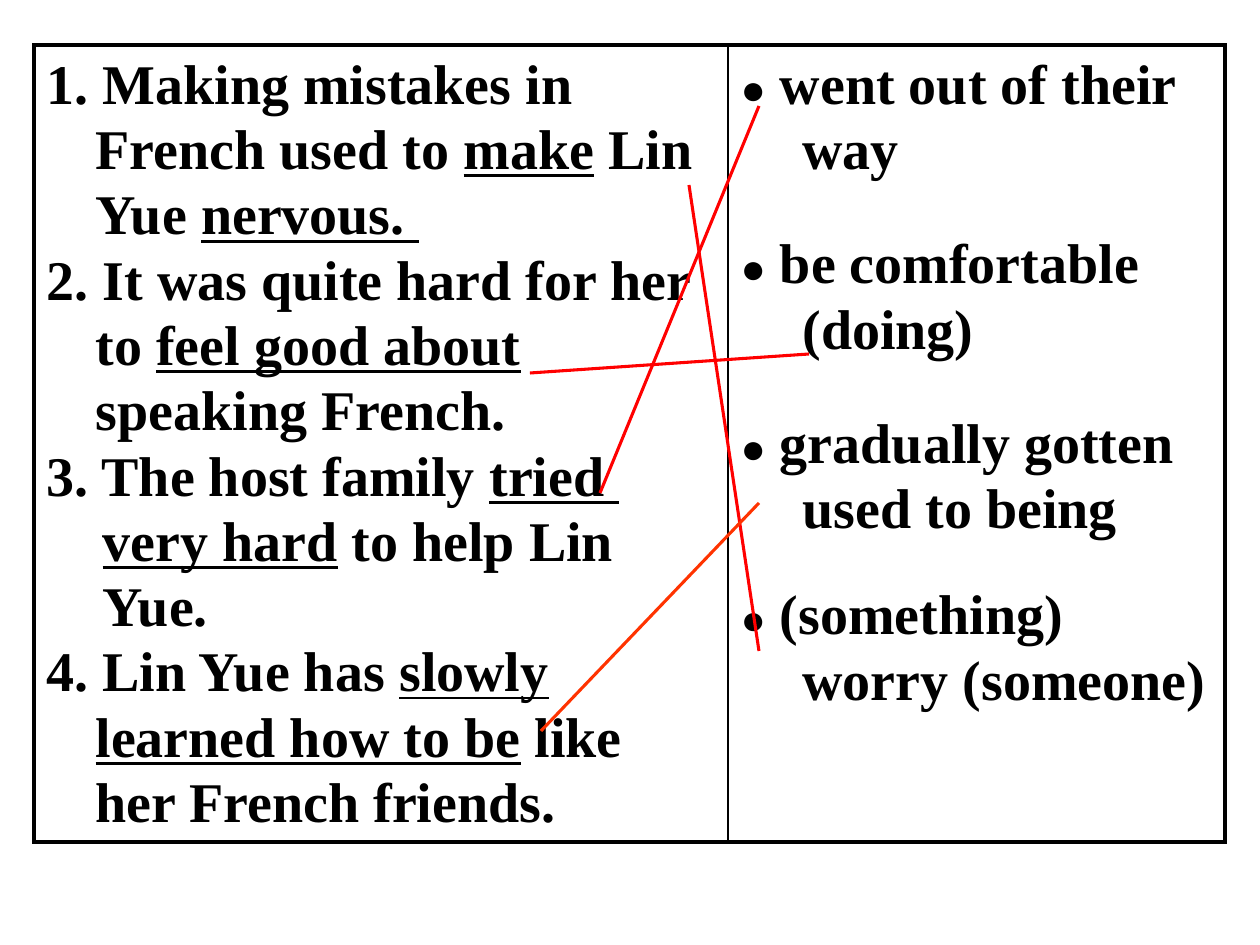
"""Build a matching exercise: sentences on the left, phrases on the right, linked by lines."""
from lxml import etree
from pptx import Presentation
from pptx.dml.color import RGBColor
from pptx.enum.shapes import MSO_CONNECTOR
from pptx.oxml.ns import qn
from pptx.util import Emu, Pt

STRAIGHT = MSO_CONNECTOR.STRAIGHT
PX = 914400 // 126
COLORS = {"ink": "000000", "red": "FF0000", "orange": "FF3300"}
FONT = {"name": "Times New Roman", "bold": True}
TEXT_SIZE, BULLET_SIZE = 32, 24

# Each sentence: left margin, first-line indent, (text, underlined) runs
SENTENCES = [
    (49, -49, [("1. Making mistakes in French used to ", False), ("make", True),
               (" Lin Yue ", False), ("nervous. ", True)]),
    (49, -49, [("2. It was quite hard for her to ", False), ("feel good about", True),
               (" speaking French.", False)]),
    (49, -49, [("3. The host family ", False), ("tried ", True)]),
    (56, 0, [("very hard", True), (" to help Lin", False)]),
    (56, 0, [("Yue.", False)]),
    (49, -49, [("4. Lin Yue has ", False), ("slowly learned how to be", True),
               (" like her French friends.", False)]),
]
PHRASES = [
    (0, "went out of their way"),
    (49, "be comfortable (doing)"),
    (49, "gradually gotten used to being"),
    (41, "(something) worry (someone)"),
]
LINKS = [
    (689, 185, 759, 651, "red"),
    (530, 373, 809, 354, "red"),
    (600, 493, 759, 106, "red"),
    (541, 731, 759, 503, "orange"),
]
TABLE = (34, 45, 1191, 797)
COLUMNS = (694, 497)
BORDERS = [
    {"L": 2.25, "R": 1, "T": 2.25, "B": 2.25},
    {"L": 1, "R": 2.25, "T": 2.25, "B": 2.25},
]


def px(n):
    return Emu(n * PX)


def add_run(p, text, size, underline=False):
    r = p.add_run()
    r.text = text
    for key, value in {**FONT, "size": Pt(size), "underline": underline}.items():
        setattr(r.font, key, value)
    r.font.color.rgb = RGBColor.from_string(COLORS["ink"])


def add_paragraph(tf, first, margin, indent, before=0):
    p = tf.paragraphs[0] if first else tf.add_paragraph()
    p.line_spacing = 1.05
    p.space_before = px(before)
    pPr = p._p.get_or_add_pPr()
    pPr.set("marL", str(px(margin)))
    pPr.set("indent", str(px(indent)))
    return p


def set_borders(cell, widths):
    tcPr = cell._tc.get_or_add_tcPr()
    for side, width in widths.items():
        ln = etree.SubElement(tcPr, qn(f"a:ln{side}"), w=str(Pt(width)))
        fill = etree.SubElement(ln, qn("a:solidFill"))
        etree.SubElement(fill, qn("a:srgbClr"), val=COLORS["ink"])


def add_link(s, x1, y1, x2, y2, color):
    line = s.shapes.add_connector(STRAIGHT, px(x1), px(y1), px(x2), px(y2))
    line.line.color.rgb = RGBColor.from_string(COLORS[color])
    line.line.width = Pt(1.75)
    etree.SubElement(line._element.spPr, qn("a:effectLst"))


def main():
    prs = Presentation()
    prs.slide_width, prs.slide_height = px(1260), px(945)
    s = prs.slides.add_slide(prs.slide_layouts[6])

    table = s.shapes.add_table(1, 2, *map(px, TABLE)).table
    table.first_row = table.horz_banding = False
    for i, width in enumerate(COLUMNS):
        table.columns[i].width = px(width)
        set_borders(table.cell(0, i), BORDERS[i])
        table.cell(0, i).fill.background()

    tf = table.cell(0, 0).text_frame
    for i, (margin, indent, runs) in enumerate(SENTENCES):
        p = add_paragraph(tf, i == 0, margin, indent)
        for text, underline in runs:
            add_run(p, text, TEXT_SIZE, underline)

    tf = table.cell(0, 1).text_frame
    for i, (before, text) in enumerate(PHRASES):
        p = add_paragraph(tf, i == 0, 62, -62, before)
        add_run(p, "●", BULLET_SIZE)
        add_run(p, " " + text, TEXT_SIZE)

    for link in LINKS:
        add_link(s, *link)
    prs.save("out.pptx")


if __name__ == "__main__":
    main()
